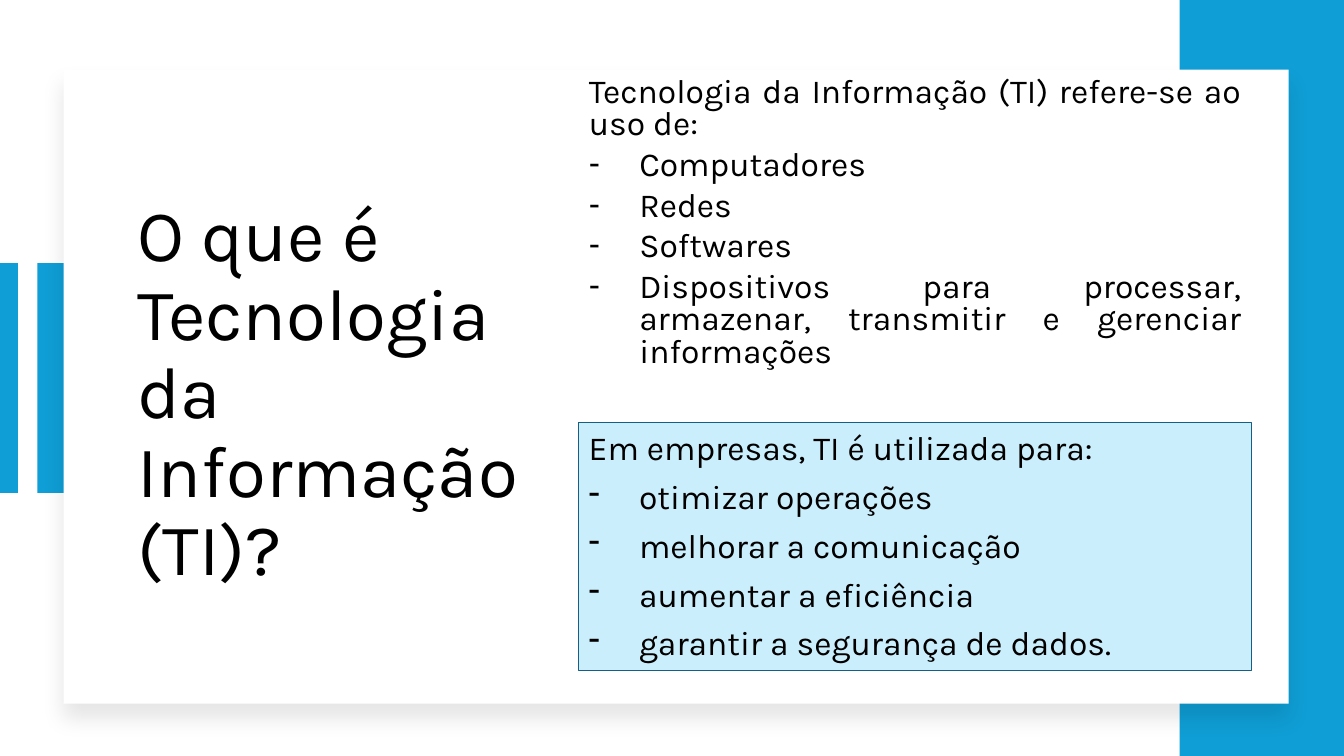
from lxml import etree
from pptx import Presentation
from pptx.dml.color import RGBColor
from pptx.enum.shapes import MSO_CONNECTOR, MSO_SHAPE
from pptx.enum.text import MSO_ANCHOR, MSO_AUTO_SIZE, PP_ALIGN
from pptx.oxml import parse_xml
from pptx.oxml.ns import nsdecls, qn
from pptx.util import Inches, Pt

BLUE = RGBColor(0x0F, 0x9E, 0xD5)
PALE_BLUE = RGBColor(0xCA, 0xEE, 0xFB)
DARK_BLUE = RGBColor(0x15, 0x60, 0x82)
WHITE = RGBColor(0xFF, 0xFF, 0xFF)
BLACK = RGBColor(0x00, 0x00, 0x00)
FONT = "Karla"

TITLE = "O que é Tecnologia da Informação (TI)?"
DEFINITION = "Tecnologia da Informação (TI) refere-se ao uso de:"
RESOURCES = [
    "Computadores",
    "Redes",
    "Softwares",
    "Dispositivos para processar, armazenar, transmitir e gerenciar informações",
]
BUSINESS = "Em empresas, TI é utilizada para:"
BENEFITS = [
    "otimizar operações",
    "melhorar a comunicação",
    "aumentar a eficiência",
    "garantir a segurança de dados.",
]


def add_rectangle(page, left, top, width, height, fill, outline=None):
    box = page.shapes.add_shape(
        MSO_SHAPE.RECTANGLE, Inches(left), Inches(top), Inches(width), Inches(height)
    )
    box.shadow.inherit = False
    box.fill.solid()
    box.fill.fore_color.rgb = fill
    if outline is None:
        box.line.fill.background()
    else:
        box.line.color.rgb = outline
        box.line.width = Pt(0.75)
    return box


def add_soft_shadow(box):
    effects = box._element.spPr.find(qn("a:effectLst"))
    effects.append(parse_xml(
        f'<a:outerShdw {nsdecls("a")} blurRad="{Pt(15)}" dist="{Pt(11)}" '
        'dir="5400000" algn="t" rotWithShape="0">'
        '<a:srgbClr val="000000"><a:alpha val="10000"/></a:srgbClr></a:outerShdw>'
    ))


def add_stripe(page, x, top, bottom):
    stripe = page.shapes.add_connector(
        MSO_CONNECTOR.STRAIGHT, Inches(x), Inches(top), Inches(x), Inches(bottom)
    )
    stripe.line.color.rgb = BLUE
    stripe.line.width = Pt(14)
    etree.SubElement(stripe._element.spPr, qn("a:effectLst"))


def place_in_front(page, holder, left, top, width, height):
    holder.left, holder.top = Inches(left), Inches(top)
    holder.width, holder.height = Inches(width), Inches(height)
    holder.text_frame.auto_size = MSO_AUTO_SIZE.NONE
    holder.text_frame.vertical_anchor = MSO_ANCHOR.MIDDLE
    page.shapes._spTree.append(holder._element)


def set_font(paragraph, size):
    paragraph.font.name = FONT
    paragraph.font.size = Pt(size)
    paragraph.font.color.rgb = BLACK


def set_bullet(paragraph, dashed):
    properties = paragraph._p.get_or_add_pPr()
    indent = Inches(0.5) if dashed else 0
    properties.set("marL", str(indent))
    properties.set("indent", str(-indent))
    if dashed:
        etree.SubElement(properties, qn("a:buChar"), char="-")
    else:
        etree.SubElement(properties, qn("a:buNone"))


def write_list(frame, heading, items, line_spacing):
    lines = [heading, *items]
    frame.text = "\n".join(lines)
    for number, paragraph in enumerate(frame.paragraphs):
        paragraph.level = 1
        paragraph.alignment = PP_ALIGN.JUSTIFY
        paragraph.line_spacing = line_spacing
        paragraph.space_before = Pt(0)
        paragraph.space_after = Pt(6)
        set_bullet(paragraph, dashed=number > 0)
        set_font(paragraph, 24)


def write_title(page):
    title = page.shapes.title
    place_in_front(page, title, 1.26, 1.36, 4.38, 5.12)
    title.text_frame.text = TITLE
    paragraph = title.text_frame.paragraphs[0]
    paragraph.alignment = PP_ALIGN.LEFT
    paragraph.line_spacing = 0.9
    set_font(paragraph, 52)


def main():
    deck = Presentation()
    deck.slide_width, deck.slide_height = Inches(13.33), Inches(7.5)
    page = deck.slides.add_slide(deck.slide_layouts[1])

    add_rectangle(page, 0.37, 2.61, 0.34, 2.28, BLUE)
    add_stripe(page, 0.08, 2.61, 4.89)
    add_rectangle(page, 11.7, 0, 1.63, 7.5, BLUE)
    add_soft_shadow(add_rectangle(page, 0.63, 0.69, 12.15, 6.29, WHITE))

    write_title(page)
    body = page.placeholders[1]
    place_in_front(page, body, 5.74, 0.77, 6.67, 2.9)
    write_list(body.text_frame, DEFINITION, RESOURCES, 0.8)

    benefits = add_rectangle(page, 5.74, 4.19, 6.67, 2.46, PALE_BLUE, DARK_BLUE)
    benefits.text_frame.word_wrap = True
    benefits.text_frame.auto_size = MSO_AUTO_SIZE.SHAPE_TO_FIT_TEXT
    benefits.text_frame.vertical_anchor = MSO_ANCHOR.TOP
    write_list(benefits.text_frame, BUSINESS, BENEFITS, 1.0)

    deck.save("out.pptx")


if __name__ == "__main__":
    main()
